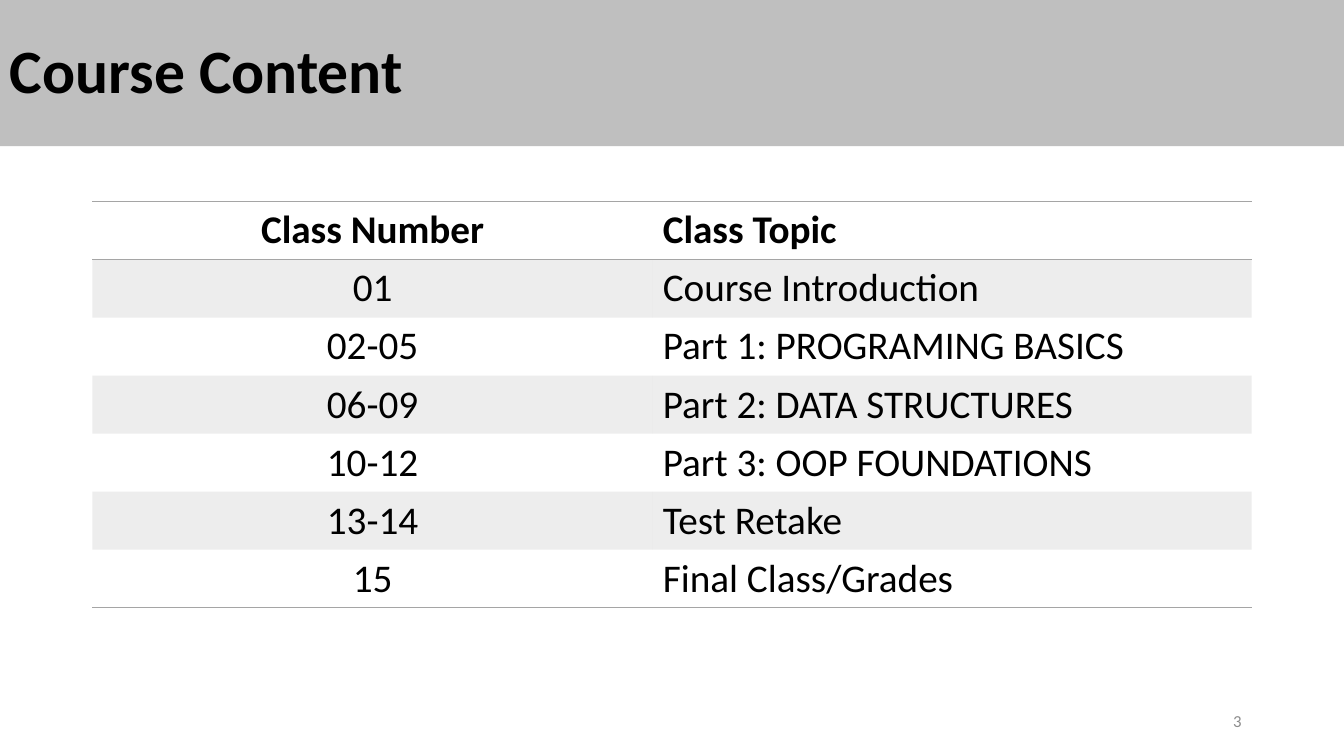
from lxml import etree
from pptx import Presentation
from pptx.dml.color import RGBColor
from pptx.enum.shapes import MSO_SHAPE
from pptx.enum.text import MSO_ANCHOR, PP_ALIGN
from pptx.oxml.ns import qn
from pptx.util import Pt

COLORS = {"banner": "BFBFBF", "text": "000000", "accent": "A5A5A5", "number": "8C8C8C"}
NO_STYLE_NO_GRID = "{2D5ABB26-0587-4C30-8999-92F81FD0307C}"
SLIDE_WIDTH, SLIDE_HEIGHT = 960, 540
BANNER_HEIGHT = 104.4
TABLE_LEFT, TABLE_TOP = 66, 144
COLUMN_WIDTHS = (400.3, 427.7)
COLUMN_ALIGNS = (PP_ALIGN.CENTER, PP_ALIGN.LEFT)
ROW_HEIGHT = 41.3
CLASSES = [
    ("Class Number", "Class Topic"),
    ("01", "Course Introduction"),
    ("02-05", "Part 1: PROGRAMING BASICS"),
    ("06-09", "Part 2: DATA STRUCTURES"),
    ("10-12", "Part 3: OOP FOUNDATIONS"),
    ("13-14", "Test Retake"),
    ("15", "Final Class/Grades"),
]
HEADER, LAST = 0, len(CLASSES) - 1
RULES = {HEADER: ("lnT", "lnB"), LAST: ("lnB",)}


def write(tf, text, size, color, bold=False, align=PP_ALIGN.LEFT):
    p = tf.paragraphs[0]
    p.alignment = align
    r = p.add_run()
    r.text = text
    for name, value in {"name": "Calibri", "size": Pt(size), "bold": bold}.items():
        setattr(r.font, name, value)
    r.font.color.rgb = RGBColor.from_string(COLORS[color])
    return p


def paint(fill, color):
    fill.solid()
    fill.fore_color.rgb = RGBColor.from_string(COLORS[color])


prs = Presentation()
prs.slide_width, prs.slide_height = Pt(SLIDE_WIDTH), Pt(SLIDE_HEIGHT)
s = prs.slides.add_slide(prs.slide_layouts[6])

frame = s.shapes.add_table(
    len(CLASSES), len(COLUMN_WIDTHS), Pt(TABLE_LEFT), Pt(TABLE_TOP),
    Pt(sum(COLUMN_WIDTHS)), Pt(ROW_HEIGHT * len(CLASSES)),
)
table = frame.table
table.first_row = table.horz_banding = False
next(frame.element.iter(qn("a:tableStyleId"))).text = NO_STYLE_NO_GRID
for column, width in zip(table.columns, COLUMN_WIDTHS):
    column.width = Pt(width)

for i, (row, texts) in enumerate(zip(table.rows, CLASSES)):
    row.height = Pt(ROW_HEIGHT)
    for cell, text, align in zip(row.cells, texts, COLUMN_ALIGNS):
        write(cell.text_frame, text, 28, "text", bold=i == HEADER, align=align)
        if i % 2:
            paint(cell.fill, "accent")
        else:
            cell.fill.background()

for i, tr in enumerate(frame.element.iter(qn("a:tr"))):
    for tcPr in tr.iter(qn("a:tcPr")):
        for band_color in tcPr.iter(qn("a:srgbClr")):
            etree.SubElement(band_color, qn("a:alpha"), val="20000")
        for k, side in enumerate(RULES.get(i, ())):
            ln = etree.Element(qn(f"a:{side}"), w=str(Pt(1)))
            solid = etree.SubElement(ln, qn("a:solidFill"))
            etree.SubElement(solid, qn("a:srgbClr"), val=COLORS["accent"])
            tcPr.insert(k, ln)

sp = s.shapes.add_textbox(Pt(678), Pt(500.5), Pt(216), Pt(28.75))
tf = sp.text_frame
tf.word_wrap = True
tf.vertical_anchor = MSO_ANCHOR.MIDDLE
write(tf, "3", 12, "number", align=PP_ALIGN.RIGHT)

sp = s.shapes.add_shape(MSO_SHAPE.RECTANGLE, 0, 0, Pt(SLIDE_WIDTH), Pt(BANNER_HEIGHT))
sp.shadow.inherit = False
paint(sp.fill, "banner")
sp.line.fill.background()
tf = sp.text_frame
tf.vertical_anchor = MSO_ANCHOR.MIDDLE
p = write(tf, "Course Content", 44, "text", bold=True)
p.line_spacing = 0.9

prs.save("out.pptx")
